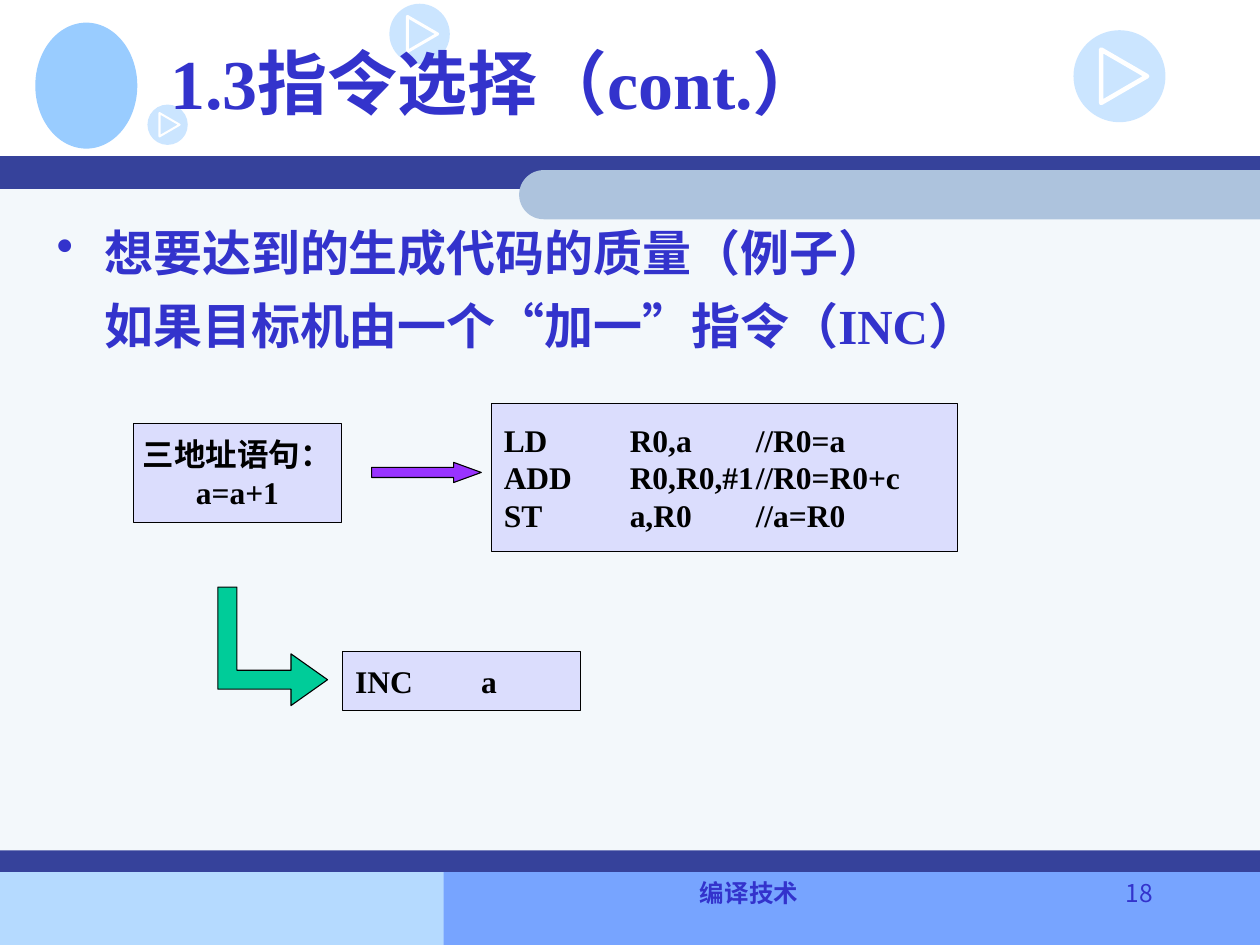
import math

import pptx
import pptx.util
import pptx.dml.color
import pptx.enum.shapes
import pptx.enum.text
import pptx.oxml
import pptx.oxml.ns

Inches, Pt = pptx.util.Inches, pptx.util.Pt
SHAPE = pptx.enum.shapes.MSO_SHAPE
ALIGN = pptx.enum.text.PP_ALIGN
ANCHOR = pptx.enum.text.MSO_ANCHOR
SERIF, CJK = "Times New Roman", "Noto Sans CJK KR"
INK, NAVY, SKY, LILAC, BLACK = "3333CC", "36429B", "99CCFF", "CCCCFF", "000000"


def rgb(color):
    return pptx.dml.color.RGBColor.from_string(color)


def add_xml(parent, tag, **attrs):
    child = parent.makeelement(pptx.oxml.ns.qn(tag), attrs)
    parent.append(child)
    return child


def paint(sp, fill=None, alpha=None, line=None, width=0.62):
    sp.shadow.inherit = False
    if fill:
        sp.fill.solid()
        sp.fill.fore_color.rgb = rgb(fill)
        if alpha:
            solid = sp.element.spPr.find(pptx.oxml.ns.qn("a:solidFill"))
            add_xml(solid[0], "a:alpha", val=str(alpha * 1000))
    else:
        sp.fill.background()
    if line:
        sp.line.color.rgb = rgb(line)
        sp.line.width = Pt(width)
    else:
        sp.line.fill.background()
    return sp


def add_box(s, kind, box, **style):
    return paint(s.shapes.add_shape(kind, *map(Inches, box)), **style)


def add_outline(s, points, **style):
    points = [(Inches(x), Inches(y)) for x, y in points]
    builder = s.shapes.build_freeform(*points[0])
    builder.add_line_segments(points[1:], close=True)
    return paint(builder.convert_to_shape(), **style)


def write(sp, lines, size=18, font=SERIF, color=INK, bold=True, align=ALIGN.LEFT,
          anchor=ANCHOR.TOP, wrap=True, pitch=None, before=0, indent=0,
          bullet_first=False, tabs=()):
    """Fill a shape with one paragraph per line; pitch is the line height in points."""
    tf = sp.text_frame
    tf.auto_size = pptx.enum.text.MSO_AUTO_SIZE.NONE
    tf.word_wrap, tf.vertical_anchor = wrap, anchor
    tf.margin_left = tf.margin_right = Inches(0.1)
    tf.margin_top = tf.margin_bottom = Inches(0.05)
    for i, line in enumerate(lines):
        p = tf.add_paragraph() if i else tf.paragraphs[0]
        p.alignment = align
        if pitch:
            p.line_spacing = Pt(pitch)
        if i and before:
            p.space_before = Pt(before)
        pPr = p._p.get_or_add_pPr()
        if indent:
            pPr.set("marL", str(Inches(indent)))
            pPr.set("indent", str(-Inches(indent) if bullet_first and i == 0 else 0))
        if bullet_first and i == 0:
            add_xml(pPr, "a:buChar", char="•")
        if tabs:
            stops = add_xml(pPr, "a:tabLst")
            for stop in tabs:
                add_xml(stops, "a:tab", pos=str(Inches(stop)), algn="l")
        r = p.add_run()
        r.text = line
        r.font.name, r.font.size, r.font.bold = font, Pt(size), bold
        r.font.color.rgb = rgb(color)
        add_xml(r._r.get_or_add_rPr(), "a:ea", typeface=CJK)


def add_text(s, box, lines, **style):
    write(s.shapes.add_textbox(*map(Inches, box)), lines, **style)


def add_play_badge(s, x, y, size):
    add_box(s, SHAPE.OVAL, (x, y, size, size), fill=SKY, alpha=50)
    triangle = [(0.3, 0.21), (0.8, 0.5), (0.3, 0.79)]
    add_outline(s, [(x + size * u, y + size * v) for u, v in triangle],
                line="FFFFFF", width=size * 3.6)


def add_tab_band(s, x, y, w, h):
    """A band whose left end is a half circle."""
    radius = h / 2
    angles = [math.pi * (0.5 + i / 24) for i in range(25)]
    arc = [(x + radius * (1 + math.cos(a)), y + radius * (1 - math.sin(a)))
           for a in angles]
    add_outline(s, [(x + w, y)] + arc + [(x + w, y + h)], fill="ADC3DD")


def add_backdrop(s, w, h):
    for box, fill in [
        ((0, 6.92, 4.25, h - 6.92), "B5DAFF"),
        ((3.52, 6.91, w - 3.52, h - 6.91), "77A4FF"),
        ((0, 1.4, w, 5.51), "F3F8FB"),
        ((0, 1.24, w, 0.26), NAVY),
        ((0, 6.75, w, 0.17), NAVY),
    ]:
        add_box(s, SHAPE.RECTANGLE, box, fill=fill)
    add_tab_band(s, 4.12, 1.35, w - 4.12, 0.39)
    add_box(s, SHAPE.OVAL, (0.28, 0.18, 0.81, 1), fill=SKY)
    for badge in [(3.09, 0.03, 0.48), (8.52, 0.24, 0.73), (1.17, 0.83, 0.32)]:
        add_play_badge(s, *badge)


def add_footer(s, y, h):
    add_text(s, (3.42, y, 5.05, h), ["编译技术"], size=14, font=CJK, align=ALIGN.CENTER)
    add_text(s, (8.47, y, 0.78, h), ["18"], size=14, font=CJK, bold=False,
             align=ALIGN.RIGHT)


def place_title(s, box, text):
    title = s.shapes.title
    title.left, title.top, title.width, title.height = map(Inches, box)
    write(title, [text], size=40, anchor=ANCHOR.MIDDLE)
    title.element.getparent().append(title.element)  # in front of the backdrop


def add_code_box(s, box, lines, **style):
    sp = add_box(s, SHAPE.RECTANGLE, box, fill=LILAC, alpha=61, line=BLACK)
    write(sp, lines, color=BLACK, anchor=ANCHOR.MIDDLE, pitch=21.4, **style)


def add_elbow_arrow(s, x, y, w, h):
    """Arrow going down from the top left, then right to its head."""
    shaft, head_w, head_h = 0.15, 0.29, 0.41
    neck, axis = x + w - head_w, y + h - head_h / 2
    upper, lower = axis - shaft / 2, axis + shaft / 2
    add_outline(s, [(x + w, axis), (neck, y + h - head_h), (neck, upper),
                    (x + shaft, upper), (x + shaft, y), (x, y), (x, lower),
                    (neck, lower), (neck, y + h)], fill="00CC99", line=BLACK)


def add_translation_diagram(s, x, y):
    add_code_box(s, (x, y + 0.16, 1.65, 0.79), ["三地址语句：", "a=a+1"],
                 align=ALIGN.CENTER, wrap=False)
    arrow = add_box(s, SHAPE.RIGHT_ARROW, (x + 1.89, y + 0.47, 0.87, 0.16),
                    fill="9933FF", line=BLACK)
    arrow.adjustments[0], arrow.adjustments[1] = 0.5, 1.37
    add_code_box(s, (x + 2.84, y, 3.7, 1.18),
                 ["LD\tR0,a\t//R0=a", "ADD\tR0,R0,#1\t//R0=R0+c", "ST\ta,R0\t//a=R0"],
                 tabs=(1, 2))
    add_elbow_arrow(s, x + 0.67, y + 1.46, 0.87, 0.94)
    add_code_box(s, (x + 1.66, y + 1.97, 1.89, 0.47), ["INC\ta"], tabs=(1,))


def main():
    prs = pptx.Presentation()
    prs.slide_width, prs.slide_height = Inches(10), Inches(7.5)
    s = prs.slides.add_slide(prs.slide_layouts[5])
    add_backdrop(s, 10, 7.5)
    add_footer(s, 6.92, 0.5)
    place_title(s, (1.25, 0.06, 8.5, 1.17), "1.3指令选择（cont.）")
    add_text(s, (0.35, 1.7, 9.45, 4.76),
             ["想要达到的生成代码的质量（例子）", "如果目标机由一个“加一”指令（INC）"],
             size=28, pitch=34.7, before=7, indent=0.38, bullet_first=True)
    add_translation_diagram(s, 1.06, 3.2)
    prs.save("out.pptx")


if __name__ == "__main__":
    main()
